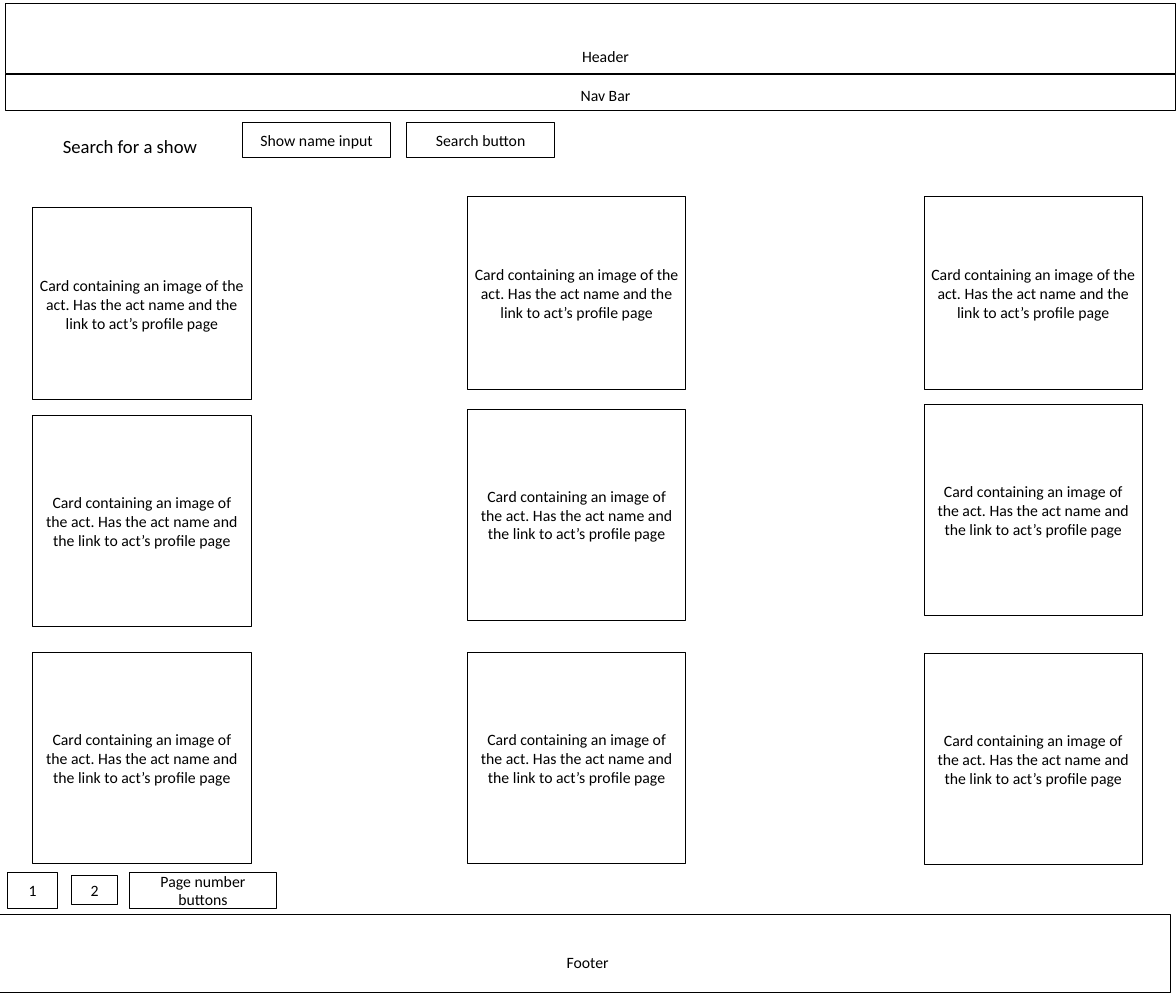
from dataclasses import dataclass
from itertools import product

from pptx import Presentation
from pptx.dml.color import RGBColor
from pptx.enum.shapes import MSO_SHAPE
from pptx.enum.text import MSO_ANCHOR, MSO_AUTO_SIZE, PP_ALIGN
from pptx.util import Emu, Pt

SCALE = 9525
BLACK = RGBColor(0, 0, 0)
FONT = "Calibri"
CARD = "Card containing an image of the act. Has the act name and the link to act’s profile page"


@dataclass
class Box:
    left: int
    top: int
    width: int
    height: int
    text: str = ""
    pad: int = 8


@dataclass
class Label:
    left: int
    top: int
    width: int
    height: int
    text: str
    size: float = 15.2
    wrap: bool = True


def px(count: int) -> Emu:
    return Emu(count * SCALE)


def place(item: Box | Label) -> list[Emu]:
    return [px(n) for n in (item.left, item.top, item.width, item.height)]


def write(frame, text: str, size: float) -> None:
    frame.text = text
    line = frame.paragraphs[0]
    line.alignment = PP_ALIGN.CENTER
    font = line.runs[0].font
    font.name = FONT
    font.size = Pt(size)
    font.color.rgb = BLACK


def draw_box(slide, box: Box) -> None:
    shape = slide.shapes.add_shape(MSO_SHAPE.RECTANGLE, *place(box))
    shape.shadow.inherit = False
    shape.fill.background()
    shape.line.color.rgb = BLACK
    shape.line.width = Pt(1)
    if box.text:
        frame = shape.text_frame
        frame.word_wrap = True
        frame.vertical_anchor = MSO_ANCHOR.MIDDLE
        frame.margin_left = frame.margin_right = px(box.pad)
        frame.margin_top = frame.margin_bottom = px(box.pad // 2)
        write(frame, box.text, 15.2)


def draw_label(slide, label: Label) -> None:
    frame = slide.shapes.add_textbox(*place(label)).text_frame
    frame.word_wrap = label.wrap
    frame.auto_size = MSO_AUTO_SIZE.SHAPE_TO_FIT_TEXT
    write(frame, label.text, label.size)


BANDS = [
    Box(7, 4, 1505, 90),
    Box(7, 96, 1505, 46),
    Box(0, 1175, 1505, 101),
]
LABELS = [
    Label(540, 55, 477, 35, "Header"),
    Label(540, 105, 477, 35, "Nav Bar"),
    Label(517, 1220, 477, 35, "Footer"),
]
SEARCH = Label(67, 169, 200, 38, "Search for a show", 18, False)
COLS = [42, 601, 1188]
ROWS = [
    ((267, 253, 253), 247, 8),
    ((534, 526, 520), 271, 10),
    ((839, 839, 840), 271, 10),
]
CARDS = [
    Box(left, tops[col], 281, height, CARD, pad)
    for (col, left), (tops, height, pad) in product(enumerate(COLS), ROWS)
]
BUTTONS = [
    Box(312, 157, 190, 46, "Show name input"),
    Box(523, 157, 190, 46, "Search button"),
    Box(10, 1121, 64, 46, "1"),
    Box(92, 1125, 59, 38, "2"),
    Box(166, 1121, 190, 46, "Page number buttons"),
]


def main() -> None:
    deck = Presentation()
    deck.slide_width = px(1512)
    deck.slide_height = px(1280)
    slide = deck.slides.add_slide(deck.slide_layouts[6])
    for box in BANDS:
        draw_box(slide, box)
    for label in LABELS:
        draw_label(slide, label)
    for card in CARDS:
        draw_box(slide, card)
    draw_label(slide, SEARCH)
    for button in BUTTONS:
        draw_box(slide, button)
    deck.save("out.pptx")


if __name__ == "__main__":
    main()
